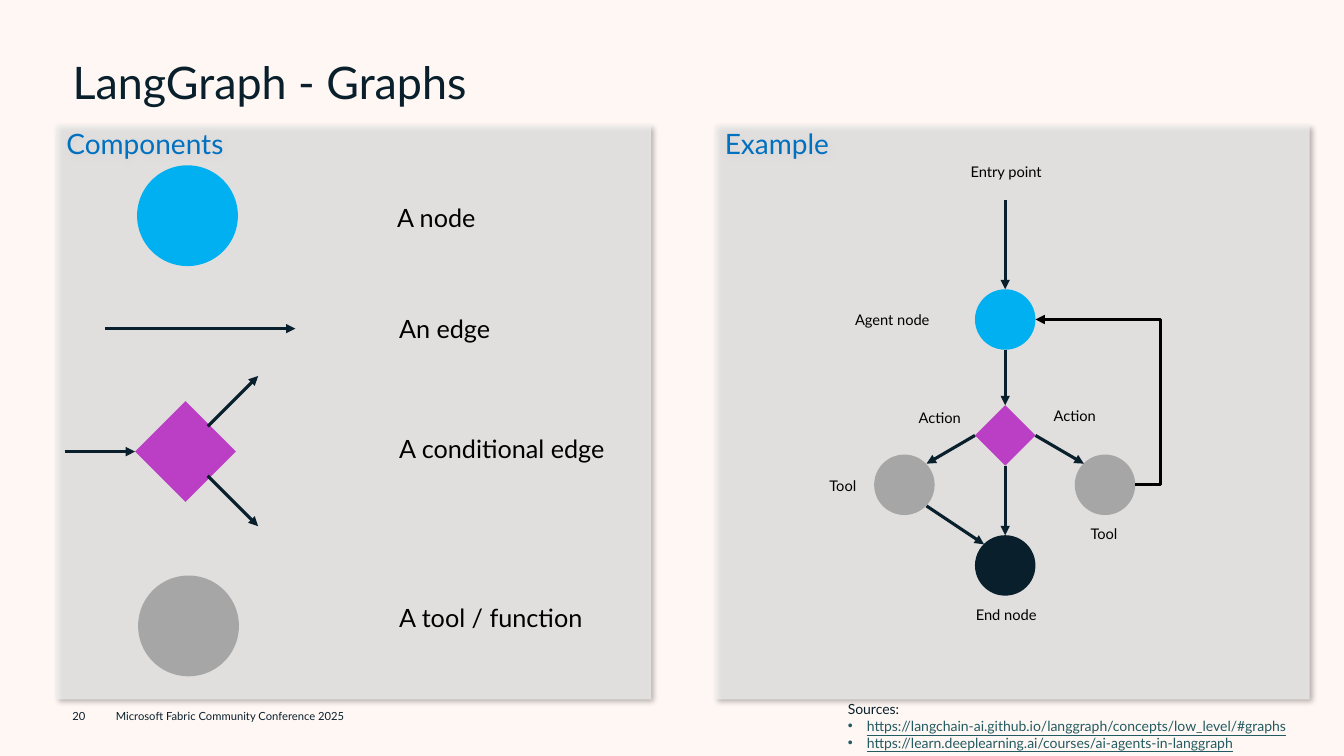
from dataclasses import dataclass

from lxml.etree import SubElement
from pptx import Presentation
from pptx.dml.color import RGBColor
from pptx.enum.shapes import MSO_CONNECTOR, MSO_SHAPE
from pptx.enum.text import MSO_ANCHOR, MSO_AUTO_SIZE, PP_ALIGN
from pptx.oxml.ns import qn
from pptx.util import Inches, Pt

FONT = "Lato"
COLORS = {
    "background": "FFF7F3",
    "panel": "F2F2F2",
    "heading": "0070C0",
    "ink": "091F2C",
    "black": "000000",
    "agent": "00B0F0",
    "condition": "BA3FC4",
    "tool": "A6A6A6",
    "link": "225B61",
}
COMPONENT_SIZE = 1
EXAMPLE_SIZE = 0.6


@dataclass
class Panel:
    heading: str
    left: float


@dataclass
class Node:
    geometry: MSO_SHAPE
    left: float
    top: float
    size: float
    color: str


@dataclass
class Edge:
    start: tuple[float, float]
    end: tuple[float, float]
    color: str = "ink"
    bend: float | None = None


@dataclass
class Label:
    text: str
    left: float
    top: float
    width: float = 1.6
    height: float = 1
    size: float = 10.5
    color: str = "black"
    align: PP_ALIGN = PP_ALIGN.CENTER


PANELS = [Panel("Components", 0.56), Panel("Example", 7.09)]

NODES = [
    Node(MSO_SHAPE.OVAL, 1.36, 1.64, COMPONENT_SIZE, "agent"),
    Node(MSO_SHAPE.DIAMOND, 1.34, 3.98, COMPONENT_SIZE, "condition"),
    Node(MSO_SHAPE.OVAL, 1.37, 5.71, COMPONENT_SIZE, "tool"),
    Node(MSO_SHAPE.OVAL, 9.67, 2.87, EXAMPLE_SIZE, "agent"),
    Node(MSO_SHAPE.DIAMOND, 9.67, 4.02, EXAMPLE_SIZE, "condition"),
    Node(MSO_SHAPE.OVAL, 8.67, 4.51, EXAMPLE_SIZE, "tool"),
    Node(MSO_SHAPE.OVAL, 10.66, 4.51, EXAMPLE_SIZE, "tool"),
    Node(MSO_SHAPE.OVAL, 9.67, 5.31, EXAMPLE_SIZE, "ink"),
]

EDGES = [
    Edge((1.04, 3.26), (2.93, 3.26)),
    Edge((0.64, 4.48), (1.34, 4.48)),
    Edge((2.06, 4.23), (2.56, 3.73)),
    Edge((2.06, 4.72), (2.56, 5.22)),
    Edge((9.97, 1.98), (9.97, 2.87)),
    Edge((9.97, 3.47), (9.97, 4.02)),
    Edge((9.67, 4.32), (9.19, 4.6)),
    Edge((10.27, 4.32), (10.75, 4.6)),
    Edge((9.97, 4.62), (9.97, 5.31)),
    Edge((9.19, 5.02), (9.76, 5.4)),
    Edge((11.26, 4.81), (10.27, 3.17), "black", -0.25),
]

LABELS = [
    Label("A node", 3.84, 1.66, 2.06, size=18, align=PP_ALIGN.LEFT),
    Label("An edge", 3.86, 2.76, 2.06, size=18, align=PP_ALIGN.LEFT),
    Label("A conditional edge", 3.86, 3.95, 2.62, size=18, align=PP_ALIGN.LEFT),
    Label("A tool / function", 3.86, 5.63, 2.62, size=18, align=PP_ALIGN.LEFT),
    Label("Entry point", 9.18, 1.2),
    Label("Agent node", 8.05, 2.67),
    Label("Action", 8.52, 3.64),
    Label("Action", 9.86, 3.62),
    Label("Tool", 7.56, 4.32),
    Label("Tool", 10.15, 4.79),
    Label("End node", 9.18, 5.6),
    Label("20", 0.62, 6.9, 0.44, 0.4, 8, "ink", PP_ALIGN.LEFT),
    Label("Microsoft Fabric Community Conference 2025",
          1.05, 6.9, 3.13, 0.4, 8, "ink", PP_ALIGN.LEFT),
]

SOURCES = [
    "https://langchain-ai.github.io/langgraph/concepts/low_level/#graphs",
    "https://learn.deeplearning.ai/courses/ai-agents-in-langgraph",
]


def rgb(name: str) -> RGBColor:
    return RGBColor.from_string(COLORS[name])


def style(paragraph, size: float, color: str) -> None:
    paragraph.font.name = FONT
    paragraph.font.size = Pt(size)
    paragraph.font.color.rgb = rgb(color)


def add_filled_shape(slide, geometry: MSO_SHAPE, box: tuple, color: str):
    shape = slide.shapes.add_shape(geometry, *map(Inches, box))
    shape.shadow.inherit = False
    shape.fill.solid()
    shape.fill.fore_color.rgb = rgb(color)
    shape.line.fill.background()
    return shape


def add_panel(slide, panel: Panel) -> None:
    shape = add_filled_shape(
        slide, MSO_SHAPE.RECTANGLE, (panel.left, 1.24, 5.9, 5.7), "panel")
    properties = shape._element.spPr
    fill_color = properties.find(qn("a:solidFill")).find(qn("a:srgbClr"))
    SubElement(fill_color, qn("a:alpha"), val="71000")
    shadow = SubElement(
        properties.find(qn("a:effectLst")), qn("a:outerShdw"),
        blurRad=str(Pt(4)), dist=str(Pt(3)), dir=str(45 * 60000),
        algn="tl", rotWithShape="0")
    shadow_color = SubElement(shadow, qn("a:srgbClr"), val=COLORS["black"])
    SubElement(shadow_color, qn("a:alpha"), val="40000")
    frame = shape.text_frame
    frame.vertical_anchor = MSO_ANCHOR.TOP
    heading = frame.paragraphs[0]
    heading.text = panel.heading
    heading.alignment = PP_ALIGN.LEFT
    heading.line_spacing = 0.9
    style(heading, 20, "heading")


def add_edge(slide, edge: Edge) -> None:
    route = MSO_CONNECTOR.STRAIGHT if edge.bend is None else MSO_CONNECTOR.ELBOW
    connector = slide.shapes.add_connector(
        route, *map(Inches, edge.start + edge.end))
    connector.line.color.rgb = rgb(edge.color)
    connector.line.width = Pt(2.25)
    properties = connector._element.spPr
    SubElement(properties.find(qn("a:ln")), qn("a:tailEnd"), type="triangle")
    SubElement(properties, qn("a:effectLst"))
    if edge.bend is not None:
        geometry = properties.find(qn("a:prstGeom"))
        adjustments = geometry.find(qn("a:avLst"))
        if adjustments is None:
            adjustments = SubElement(geometry, qn("a:avLst"))
        SubElement(adjustments, qn("a:gd"), name="adj1",
                   fmla=f"val {round(edge.bend * 100000)}")


def add_label(slide, label: Label) -> None:
    box = slide.shapes.add_textbox(
        *map(Inches, (label.left, label.top, label.width, label.height)))
    frame = box.text_frame
    frame.word_wrap = True
    frame.vertical_anchor = MSO_ANCHOR.MIDDLE
    paragraph = frame.paragraphs[0]
    paragraph.text = label.text
    paragraph.alignment = label.align
    style(paragraph, label.size, label.color)


def add_sources(slide) -> None:
    box = slide.shapes.add_textbox(*map(Inches, (8.31, 6.9, 5.09, 0.61)))
    frame = box.text_frame
    frame.word_wrap = True
    frame.paragraphs[0].text = "Sources:"
    style(frame.paragraphs[0], 10, "ink")
    for address in SOURCES:
        source = frame.add_paragraph()
        source.text = address
        properties = source._p.get_or_add_pPr()
        properties.set("marL", str(Inches(0.19)))
        properties.set("indent", str(Inches(-0.19)))
        SubElement(properties, qn("a:buFont"), typeface="Arial")
        SubElement(properties, qn("a:buChar"), char="•")
        style(source, 10, "link")
        source.font.underline = True


def set_title(slide) -> None:
    title = slide.shapes.title
    title.left, title.top, title.width, title.height = map(
        Inches, (0.62, 0.55, 12.1, 0.79))
    frame = title.text_frame
    frame.vertical_anchor = MSO_ANCHOR.TOP
    frame.auto_size = MSO_AUTO_SIZE.NONE
    heading = frame.paragraphs[0]
    heading.text = "LangGraph - Graphs"
    heading.alignment = PP_ALIGN.LEFT
    heading.line_spacing = 0.9
    style(heading, 32, "ink")


def main() -> None:
    presentation = Presentation()
    presentation.slide_width = Inches(13.33)
    presentation.slide_height = Inches(7.5)
    slide = presentation.slides.add_slide(presentation.slide_layouts[5])
    slide.background.fill.solid()
    slide.background.fill.fore_color.rgb = rgb("background")
    set_title(slide)
    for panel in PANELS:
        add_panel(slide, panel)
    for node in NODES:
        box = (node.left, node.top, node.size, node.size)
        add_filled_shape(slide, node.geometry, box, node.color)
    for edge in EDGES:
        add_edge(slide, edge)
    for label in LABELS:
        add_label(slide, label)
    add_sources(slide)
    presentation.save("out.pptx")


if __name__ == "__main__":
    main()
